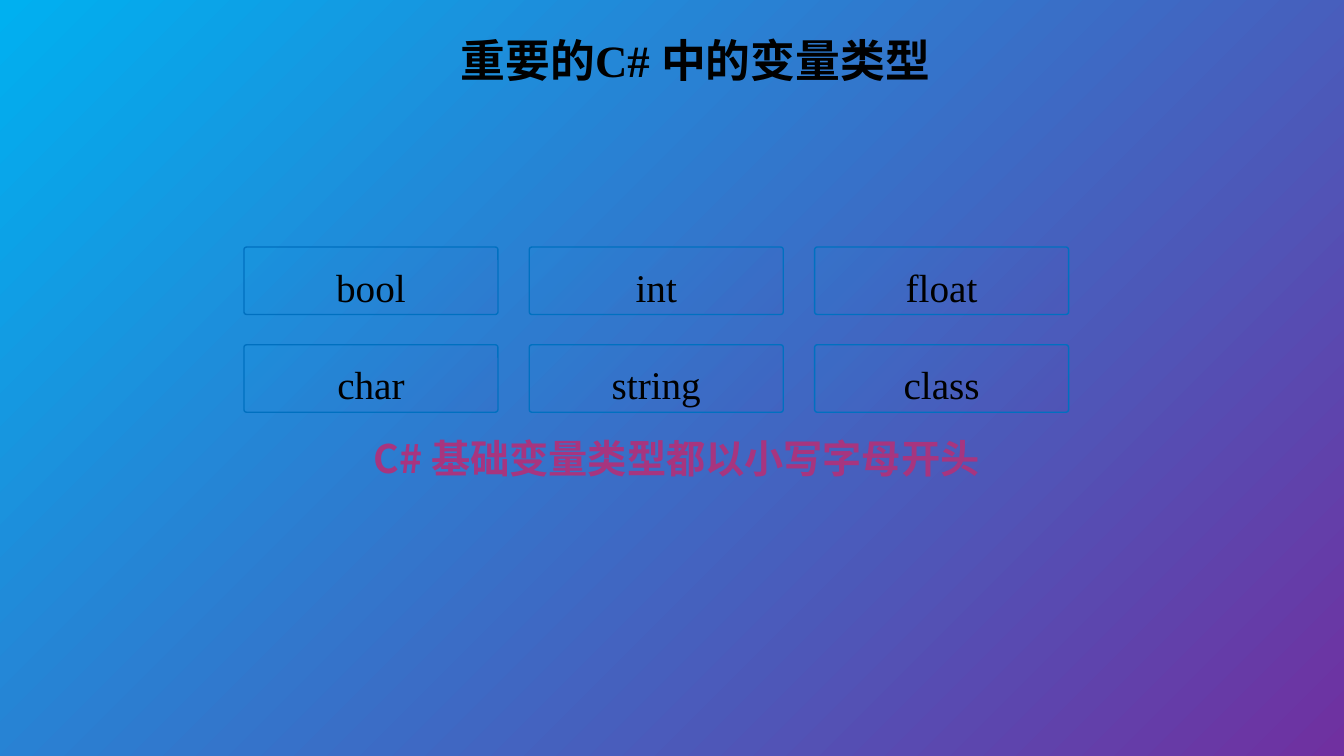
from dataclasses import dataclass

from lxml.etree import SubElement
from pptx import Presentation
from pptx.dml.color import RGBColor
from pptx.dml.fill import FillFormat
from pptx.enum.shapes import MSO_SHAPE
from pptx.enum.text import MSO_ANCHOR, PP_ALIGN
from pptx.oxml.ns import qn
from pptx.shapes.autoshape import Shape
from pptx.slide import Slide
from pptx.text.text import TextFrame
from pptx.util import Inches, Pt

BLACK = RGBColor(0x00, 0x00, 0x00)
PURPLE = RGBColor(0x70, 0x30, 0xA0)
SKY = RGBColor(0x00, 0xB0, 0xF0)
BLUE = RGBColor(0x00, 0x70, 0xC0)
PINK = RGBColor(0xA7, 0x35, 0x7F)
SERIF = "Times New Roman"
SANS = "Noto Sans CJK SC"
WIDTH, HEIGHT = Inches(13.333), Inches(7.5)


@dataclass
class Box:
    """A place on the slide, in percent of its width and height."""
    left: float
    top: float
    width: float
    height: float

    def place(self) -> tuple[int, int, int, int]:
        return (int(WIDTH * self.left / 100), int(HEIGHT * self.top / 100),
                int(WIDTH * self.width / 100), int(HEIGHT * self.height / 100))


@dataclass
class Label:
    text: str
    box: Box
    size: int
    font: str
    color: RGBColor
    align: PP_ALIGN


TITLE = Label("重要的C# 中的变量类型", Box(33.53, 3.73, 36.68, 7.6),
              32, SERIF, BLACK, PP_ALIGN.LEFT)
NOTE = Label("C# 基础变量类型都以小写字母开头", Box(24.76, 56.8, 51.16, 7.6),
             28, SANS, PINK, PP_ALIGN.CENTER)
TYPES = [["bool", "int", "float"], ["char", "string", "class"]]
FIRST = Box(18.15, 32.67, 18.9, 8.93)
COL_STEP, ROW_STEP = 21.23, 12.93


def blend(fill: FillFormat) -> None:
    """Fill with purple at bottom right fading to sky blue at top left."""
    fill.gradient()
    fill.gradient_angle = 135
    for stop, color in zip(fill.gradient_stops, (PURPLE, SKY)):
        stop.color.rgb = color


def fade(shape: Shape, share: int) -> None:
    """Set the opacity of a shape's fill, in percent."""
    for color in shape.element.spPr.iter(qn("a:srgbClr")):
        SubElement(color, qn("a:alpha")).set("val", str(share * 1000))


def style(frame: TextFrame, text: str, size: int, font: str,
          color: RGBColor, align: PP_ALIGN, bold: bool) -> None:
    frame.word_wrap = True
    frame.text = text
    line = frame.paragraphs[0]
    line.alignment = align
    run = line.runs[0]
    run.font.size = Pt(size)
    run.font.bold = bold
    run.font.color.rgb = color
    run.font.name = font
    SubElement(run.font._element, qn("a:ea")).set("typeface", SANS)


def add_label(slide: Slide, label: Label) -> None:
    frame = slide.shapes.add_textbox(*label.box.place()).text_frame
    style(frame, label.text, label.size, label.font, label.color,
          label.align, True)


def add_type(slide: Slide, name: str, box: Box) -> None:
    shape = slide.shapes.add_shape(MSO_SHAPE.ROUNDED_RECTANGLE, *box.place())
    shape.adjustments[0] = 0.04
    shape.shadow.inherit = False
    blend(shape.fill)
    fade(shape, 5)
    shape.line.color.rgb = BLUE
    shape.line.width = Pt(1)
    frame = shape.text_frame
    frame.margin_left = frame.margin_right = frame.margin_top = 0
    frame.margin_bottom = Inches(0.12)
    frame.vertical_anchor = MSO_ANCHOR.MIDDLE
    style(frame, name, 28, SERIF, BLACK, PP_ALIGN.CENTER, False)
    frame.paragraphs[0].line_spacing = 1.5


def main() -> None:
    deck = Presentation()
    deck.slide_width, deck.slide_height = WIDTH, HEIGHT
    slide = deck.slides.add_slide(deck.slide_layouts[6])
    blend(slide.background.fill)
    add_label(slide, TITLE)
    for row, names in enumerate(TYPES):
        for col, name in enumerate(names):
            add_type(slide, name, Box(FIRST.left + col * COL_STEP,
                                      FIRST.top + row * ROW_STEP,
                                      FIRST.width, FIRST.height))
    add_label(slide, NOTE)
    deck.save("out.pptx")


if __name__ == "__main__":
    main()
